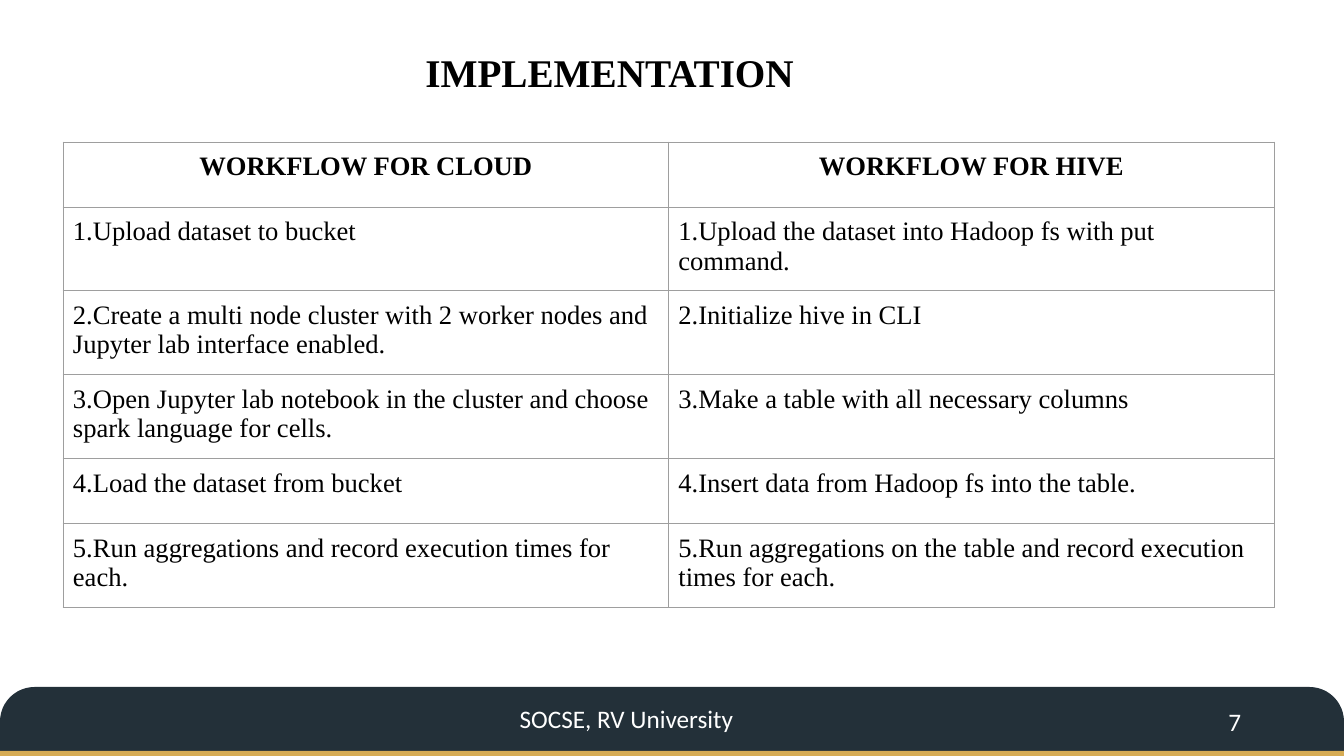
from lxml import etree
from pptx import Presentation
from pptx.dml.color import RGBColor
from pptx.enum.shapes import MSO_SHAPE
from pptx.enum.text import MSO_ANCHOR, MSO_AUTO_SIZE, PP_ALIGN
from pptx.oxml.ns import qn
from pptx.util import Emu, Pt

BAR_SHAPE = MSO_SHAPE.ROUND_2_SAME_RECTANGLE
TOP, BOTTOM = MSO_ANCHOR.TOP, MSO_ANCHOR.BOTTOM
LEFT, CENTER, RIGHT = PP_ALIGN.LEFT, PP_ALIGN.CENTER, PP_ALIGN.RIGHT
NO_AUTOFIT = MSO_AUTO_SIZE.NONE
EMU_PER_PX = 914400 / 100.8
TITLE_ONLY = 5

COLORS = {
    "black": "000000",
    "white": "FFFFFF",
    "navy": "233039",
    "gold": "D7AC54",
    "border": "9E9E9E",
}


def px(*lengths):
    return [Emu(round(length * EMU_PER_PX)) for length in lengths]


def write(frame, text, font_name, size, color, alignment, bold=False):
    paragraph = frame.paragraphs[0]
    paragraph.text = text
    paragraph.alignment = alignment
    font = paragraph.runs[0].font
    for name, value in {"name": font_name, "size": Pt(size), "bold": bold}.items():
        setattr(font, name, value)
    font.color.rgb = RGBColor.from_string(COLORS[color])


presentation = Presentation()
presentation.slide_width, presentation.slide_height = px(1344, 756)
slide = presentation.slides.add_slide(presentation.slide_layouts[TITLE_ONLY])

# Footer bars
for top, height, color, rounding in ((687, 69, "navy", 0.5), (751, 5, "gold", 0)):
    bar = slide.shapes.add_shape(BAR_SHAPE, *px(0, top, 1344, height))
    bar.adjustments[0] = rounding
    bar.shadow.inherit = False
    bar.fill.solid()
    bar.fill.fore_color.rgb = RGBColor.from_string(COLORS[color])
    bar.line.fill.background()

# Footer text and slide number
for text, box, alignment in (
    ("SOCSE, RV University", (304, 698, 645, 55), CENTER),
    ("7", (949, 701, 302, 40), RIGHT),
):
    frame = slide.shapes.add_textbox(*px(*box)).text_frame
    frame.word_wrap = True
    frame.vertical_anchor = TOP
    write(frame, text, "Calibri", 18, "white", alignment)

# Title
title = slide.shapes.title
title.left, title.top, title.width, title.height = px(361, 42, 497, 58)
title.text_frame.vertical_anchor = BOTTOM
title.text_frame.auto_size = NO_AUTOFIT
write(title.text_frame, "IMPLEMENTATION", "Times New Roman", 28, "black", CENTER, True)

# Workflow table
workflow_rows = [
    ("WORKFLOW FOR CLOUD", "WORKFLOW FOR HIVE"),
    ("1.Upload dataset to bucket",
     "1.Upload the dataset into Hadoop fs with put command."),
    ("2.Create a multi node cluster with 2 worker nodes and Jupyter lab interface enabled.",
     "2.Initialize hive in CLI"),
    ("3.Open Jupyter lab notebook in the cluster and choose spark language for cells.",
     "3.Make a table with all necessary columns"),
    ("4.Load the dataset from bucket",
     "4.Insert data from Hadoop fs into the table."),
    ("5.Run aggregations and record execution times for each.",
     "5.Run aggregations on the table and record execution times for each."),
]
row_heights = px(65, 84, 84, 84, 65, 84)
table = slide.shapes.add_table(
    len(workflow_rows), 2, *px(63, 142, 1211), sum(row_heights)
).table
table.first_row = False
table.horz_banding = False
(margin,) = px(10)

for row_index, texts in enumerate(workflow_rows):
    table.rows[row_index].height = row_heights[row_index]
    is_header = row_index == 0
    for column_index, text in enumerate(texts):
        cell = table.cell(row_index, column_index)
        for side in ("left", "right", "top", "bottom"):
            setattr(cell, f"margin_{side}", margin)
        cell.vertical_anchor = TOP
        write(cell.text_frame, text, "Times New Roman", 19, "black",
              CENTER if is_header else LEFT, is_header)
        properties = cell._tc.get_or_add_tcPr()
        for edge in ("a:lnL", "a:lnR", "a:lnT", "a:lnB"):
            line = etree.SubElement(properties, qn(edge), w=str(Pt(0.75)))
            fill = etree.SubElement(line, qn("a:solidFill"))
            etree.SubElement(fill, qn("a:srgbClr"), val=COLORS["border"])
        cell.fill.background()

presentation.save("out.pptx")
